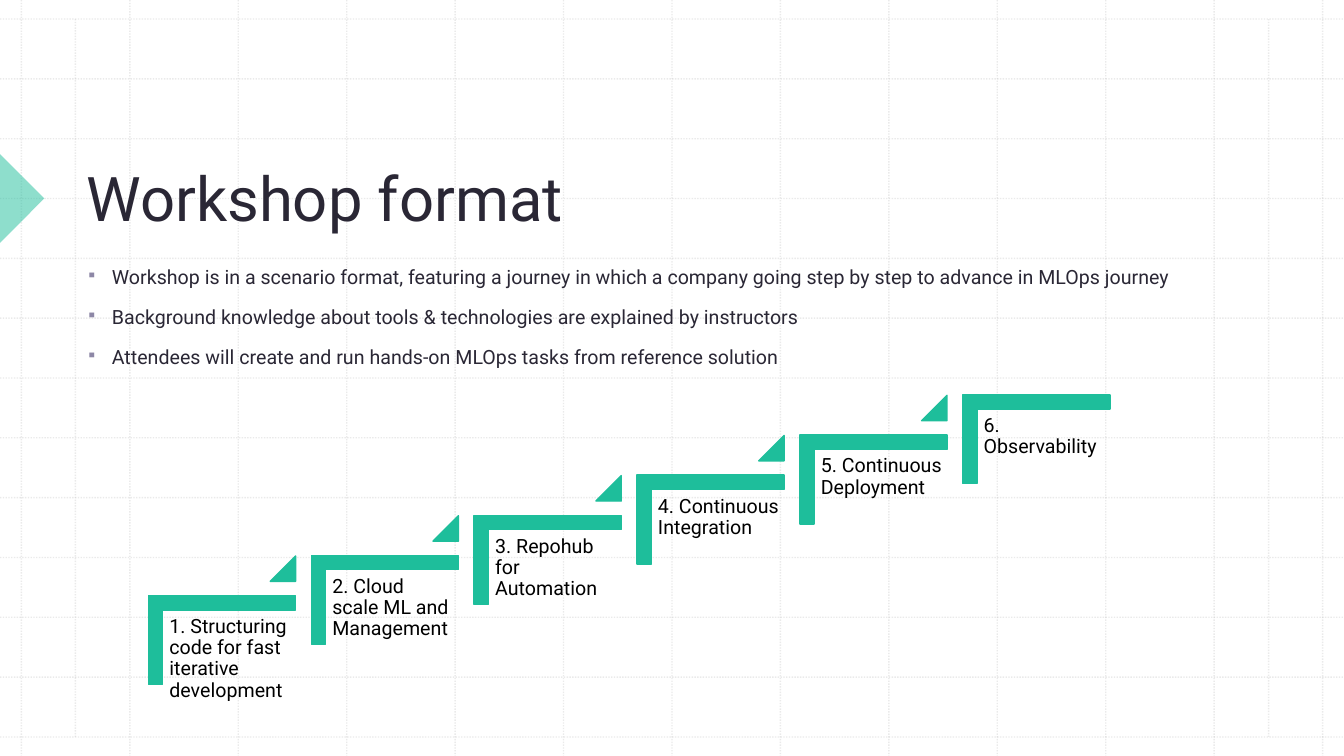
from dataclasses import dataclass

from lxml import etree
from pptx import Presentation
from pptx import util as u
from pptx.dml.color import RGBColor
from pptx.enum import dml, shapes, text
from pptx.oxml import ns

Cm, Pt = u.Cm, u.Pt


@dataclass(frozen=True)
class Theme:
    font: str = "Roboto"
    ink: str = "2A2735"
    label: str = "000000"
    accent: str = "1EBE9B"
    bullet: str = "8D87A6"
    grid: str = "BCBCBC"
    title_size: int = 44
    body_size: int = 14


THEME = Theme()
WIDTH, HEIGHT = 33.87, 19.05
BULLETS = [
    "Workshop is in a scenario format, featuring a journey in which a company "
    "going step by step to advance in MLOps journey",
    "Background knowledge about tools & technologies are explained by instructors",
    "Attendees will create and run hands-on MLOps tasks from reference solution",
]
STEPS = [
    "1. Structuring code for fast iterative development",
    "2. Cloud scale ML and Management",
    "3. Repohub for Automation",
    "4. Continuous Integration",
    "5. Continuous Deployment",
    "6. Observability",
]


def add_sub(parent, tag, **attrs):
    return etree.SubElement(parent, ns.qn(tag), **attrs)


def set_alpha(sp, percent):
    """Make the first colour of a shape or line partly transparent."""
    color = next(sp._element.spPr.iter(ns.qn("a:srgbClr")))
    add_sub(color, "a:alpha", val=str(percent * 1000))


def add_bullet(p):
    pPr = p._p.get_or_add_pPr()
    indent = Cm(0.64)
    pPr.set("marL", str(indent))
    pPr.set("indent", str(-indent))
    add_sub(add_sub(pPr, "a:buClr"), "a:srgbClr", val=THEME.bullet)
    add_sub(pPr, "a:buSzPct", val="75000")
    add_sub(pPr, "a:buChar", char="▪")


def add_text(parent, box, lines, *, size, color, anchor=text.MSO_ANCHOR.TOP,
             spacing=None, before=None, inset=None, bullets=False):
    tf = parent.add_textbox(*map(Cm, box)).text_frame
    tf.word_wrap = True
    tf.vertical_anchor = anchor
    if inset is not None:
        tf.margin_left = tf.margin_right = tf.margin_top = tf.margin_bottom = Cm(inset)
    for i, line in enumerate(lines):
        p = tf.add_paragraph() if i else tf.paragraphs[0]
        if spacing:
            p.line_spacing = spacing
        if before:
            p.space_before = Pt(before)
        if bullets:
            add_bullet(p)
        r = p.add_run()
        r.text = line
        r.font.name = THEME.font
        r.font.size = Pt(size)
        r.font.color.rgb = RGBColor.from_string(color)


def add_accent_shape(parent, kind, box, *, rotation=0, adjustments=(), outlined=True):
    sp = parent.add_shape(kind, *map(Cm, box))
    sp.shadow.inherit = False
    sp.rotation = rotation
    for i, value in enumerate(adjustments):
        sp.adjustments[i] = value
    accent = RGBColor.from_string(THEME.accent)
    sp.fill.solid()
    sp.fill.fore_color.rgb = accent
    if outlined:
        sp.line.color.rgb = accent
        sp.line.width = Pt(1)
    else:
        sp.line.fill.background()
    return sp


def add_grid_line(parent, x1, y1, x2, y2):
    ends = map(Cm, (x1, y1, x2, y2))
    line = parent.add_connector(shapes.MSO_CONNECTOR.STRAIGHT, *ends)
    line.line.width = Pt(1)
    line.line.color.rgb = RGBColor.from_string(THEME.grid)
    line.line.dash_style = dml.MSO_LINE.ROUND_DOT
    set_alpha(line, 30)
    add_sub(line._element.spPr, "a:effectLst")


def add_grid(parent, box, cells=12):
    """Draw evenly spaced dotted lines and two inner margin lines."""
    left, top, width, height = box
    edge_x, edge_y, margin = 0.54, 0.48, 1.9
    for i in range(cells + 1):
        x = left + edge_x + i * (width - 2 * edge_x) / cells
        y = top + edge_y + i * (height - 2 * edge_y) / cells
        add_grid_line(parent, x, top, x, top + height)
        add_grid_line(parent, left, y, left + width, y)
    for x in (left + margin, left + width - margin):
        add_grid_line(parent, x, top + edge_y, x, top + height - edge_y)


def add_heading(parent, box):
    """Place the title with its marker on the slide's left edge."""
    _, top, _, height = box
    side = 1.58
    marker_box = (-side / 2, top + height - 1.8, side, side)
    marker = add_accent_shape(parent, shapes.MSO_SHAPE.RIGHT_TRIANGLE, marker_box,
                              rotation=225, outlined=False)
    set_alpha(marker, 50)
    add_text(parent, box, ["Workshop format"], size=THEME.title_size,
             color=THEME.ink, anchor=text.MSO_ANCHOR.BOTTOM)


def add_step(parent, box, label, has_next):
    left, top, width, height = box
    # The corner is turned a quarter, so its width and height trade places.
    corner_box = (left + (width - height) / 2, top + (height - width) / 2, height, width)
    add_accent_shape(parent, shapes.MSO_SHAPE.CORNER, corner_box,
                     rotation=90, adjustments=(0.161, 0.161))
    add_text(parent, (left + 0.38, top + 0.38, 3.35, 2.95), [label],
             size=THEME.body_size, color=THEME.label, spacing=0.9, inset=0.15)
    if has_next:
        side = 0.64
        add_accent_shape(parent, shapes.MSO_SHAPE.ISOSCELES_TRIANGLE,
                         (left + width - side, top - 1, side, side), adjustments=(1,))


def add_staircase(parent, box):
    """Climb from the lower left to the upper right of the box."""
    left, top, width, height = box
    step_width, step_height = 3.71, 2.24
    gaps = len(STEPS) - 1
    run, rise = (width - step_width) / gaps, (height - step_height) / gaps
    for i, label in enumerate(STEPS):
        step_box = (left + i * run, top + (gaps - i) * rise, step_width, step_height)
        add_step(parent, step_box, label, has_next=i < gaps)


def main():
    prs = Presentation()
    prs.slide_width, prs.slide_height = Cm(WIDTH), Cm(HEIGHT)
    s = prs.slides.add_slide(prs.slide_layouts[6])
    add_grid(s.shapes, (0, 0, WIDTH, HEIGHT))
    add_heading(s.shapes, (1.93, 2, 28.68, 4.01))
    add_text(s.shapes, (1.93, 6.5, 28.68, 9.9), BULLETS, size=THEME.body_size,
             color=THEME.ink, spacing=1.1, before=10, bullets=True)
    add_staircase(s.shapes.add_group_shape().shapes, (3.74, 9.95, 24.23, 7.3))
    prs.save("out.pptx")


if __name__ == "__main__":
    main()
